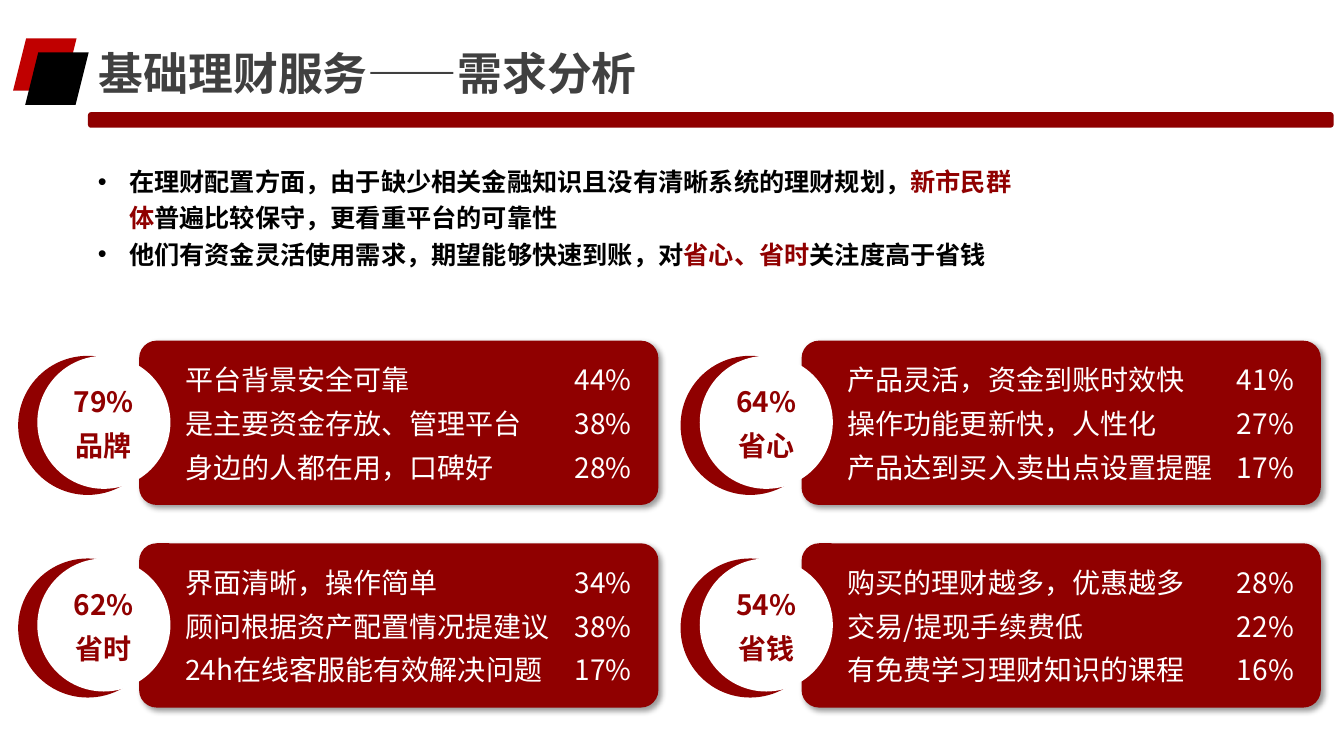
from dataclasses import dataclass
from typing import Any

from lxml.etree import SubElement
from pptx import Presentation
from pptx.dml.color import RGBColor
from pptx.enum.shapes import MSO_SHAPE
from pptx.enum.text import MSO_ANCHOR, MSO_AUTO_SIZE, PP_ALIGN
from pptx.oxml.ns import qn
from pptx.util import Emu, Pt

PX = 9144


@dataclass(frozen=True)
class Theme:
    red: str = "900000"
    bar_line: str = "8E0000"
    accent: str = "C00000"
    black: str = "000000"
    grey: str = "404040"
    white: str = "FFFFFF"
    latin: str = "Arial"
    cjk: str = "Noto Sans CJK SC"
    title: int = 32
    body: int = 18
    card: int = 20


@dataclass(frozen=True)
class Box:
    x: int
    y: int
    w: int
    h: int

    def shifted(self, dx: int, dy: int) -> "Box":
        return Box(self.x + dx, self.y + dy, self.w, self.h)

    def emu(self) -> list[Emu]:
        return [Emu(v * PX) for v in (self.x, self.y, self.w, self.h)]


@dataclass(frozen=True)
class Style:
    size: int
    color: str
    bold: bool = False
    font: str = Theme.cjk


@dataclass(frozen=True)
class Need:
    share: str
    name: str
    reasons: dict[str, str]


T = Theme()
TITLE = Style(T.title, T.grey, True, T.latin)
BODY = Style(T.body, T.black, True)
KEYWORD = Style(T.body, T.red, True)
REASON = Style(T.card, T.white)
BADGE = Style(T.card, T.red, True)

FRAME = {
    "word_wrap": True,
    "auto_size": MSO_AUTO_SIZE.SHAPE_TO_FIT_TEXT,
    "vertical_anchor": MSO_ANCHOR.TOP,
}
CARD_PARA = {"line_spacing": 1.3, "alignment": PP_ALIGN.LEFT}
BADGE_PARA = {"line_spacing": 1.3, "alignment": PP_ALIGN.CENTER}
BODY_PARA = {"line_spacing": 1.2, "alignment": PP_ALIGN.LEFT, "space_before": Pt(0)}

COLUMNS = 2
COLUMN_STEP = 657
ROW_STEP = 201

BULLETS = [
    [
        ("在理财配置方面，由于缺少相关金融知识且没有清晰系统的理财规划，", BODY),
        ("新市民群体", KEYWORD),
        ("普遍比较保守，更看重平台的可靠性", BODY),
    ],
    [
        ("他们有资金灵活使用需求，期望能够快速到账，对", BODY),
        ("省心、省时", KEYWORD),
        ("关注度高于省钱", BODY),
    ],
]

NEEDS = [
    Need("79%", "品牌", {
        "平台背景安全可靠": "44%",
        "是主要资金存放、管理平台": "38%",
        "身边的人都在用，口碑好": "28%",
    }),
    Need("64%", "省心", {
        "产品灵活，资金到账时效快": "41%",
        "操作功能更新快，人性化": "27%",
        "产品达到买入卖出点设置提醒": "17%",
    }),
    Need("62%", "省时", {
        "界面清晰，操作简单": "34%",
        "顾问根据资产配置情况提建议": "38%",
        "24h在线客服能有效解决问题": "17%",
    }),
    Need("54%", "省钱", {
        "购买的理财越多，优惠越多": "28%",
        "交易/提现手续费低": "22%",
        "有免费学习理财知识的课程": "16%",
    }),
]


def apply(obj: Any, values: dict[str, Any]) -> None:
    for name, value in values.items():
        setattr(obj, name, value)


def place(sp: Any, box: Box) -> None:
    apply(sp, dict(zip(("left", "top", "width", "height"), box.emu())))


def add_run(p: Any, text: str, style: Style) -> None:
    r = p.add_run()
    r.text = text
    apply(r.font, {"size": Pt(style.size), "bold": style.bold, "name": style.font})
    r.font.color.rgb = RGBColor.from_string(style.color)
    SubElement(r.font._element, qn("a:ea"), typeface=T.cjk)


def write(tf: Any, paragraphs: list[list[tuple[str, Style]]], values: dict[str, Any],
          hang: int = 0) -> None:
    apply(tf, FRAME)
    for i, runs in enumerate(paragraphs):
        p = tf.add_paragraph() if i else tf.paragraphs[0]
        if hang:
            apply_hang = {"marL": str(hang * PX), "indent": str(-hang * PX)}
            p._p.get_or_add_pPr().attrib.update(apply_hang)
        apply(p, values)
        for text, style in runs:
            add_run(p, text, style)


def add_text(shapes: Any, box: Box, lines: list[str], style: Style,
             values: dict[str, Any]) -> None:
    sp = shapes.add_textbox(*box.emu())
    write(sp.text_frame, [[(line, style)] for line in lines], values)


def add_filled(shapes: Any, kind: MSO_SHAPE, box: Box, color: str) -> Any:
    sp = shapes.add_shape(kind, *box.emu())
    sp.shadow.inherit = False
    sp.fill.solid()
    sp.fill.fore_color.rgb = RGBColor.from_string(color)
    sp.line.fill.background()
    return sp


def cast_shadow(sp: Any) -> None:
    effects = sp._element.spPr.find(qn("a:effectLst"))
    shadow = SubElement(effects, qn("a:outerShdw"), blurRad=str(Pt(4)), dist=str(Pt(3)),
                        dir="2700000", algn="tl", rotWithShape="0")
    color = SubElement(shadow, qn("a:srgbClr"), val=T.black)
    SubElement(color, qn("a:alpha"), val="40000")


def add_need(s: Any, need: Need, dx: int, dy: int) -> None:
    shapes = s.shapes.add_group_shape().shapes
    card = add_filled(shapes, MSO_SHAPE.ROUNDED_RECTANGLE,
                      Box(138, 338, 515, 163).shifted(dx, dy), T.red)
    card.adjustments[0] = 0.107
    cast_shadow(card)
    columns = [
        (Box(174, 345, 451, 141), list(need.reasons)),
        (Box(560, 345, 78, 141), list(need.reasons.values())),
    ]
    for box, lines in columns:
        add_text(shapes, box.shifted(dx, dy), lines, REASON, CARD_PARA)
    for box, color in ((Box(18, 353, 138, 138), T.red), (Box(37, 353, 132, 132), T.white)):
        add_filled(shapes, MSO_SHAPE.OVAL, box.shifted(dx, dy), color)
    add_text(shapes, Box(53, 367, 100, 97).shifted(dx, dy), [need.share, need.name],
             BADGE, BADGE_PARA)


def add_header(s: Any) -> None:
    for box, color in ((Box(13, 38, 63, 52), T.accent), (Box(25, 52, 63, 52), T.black)):
        add_filled(s.shapes, MSO_SHAPE.PARALLELOGRAM, box, color)
    bar = add_filled(s.shapes, MSO_SHAPE.ROUNDED_RECTANGLE, Box(88, 112, 1234, 14), T.red)
    bar.line.color.rgb = RGBColor.from_string(T.bar_line)
    bar.line.width = Pt(1)
    title, body = s.placeholders
    place(title, Box(88, 40, 597, 64))
    write(title.text_frame, [[("基础理财服务——需求分析", TITLE)]], {"alignment": PP_ALIGN.LEFT})
    place(body, Box(87, 154, 941, 116))
    write(body.text_frame, BULLETS, BODY_PARA, hang=31)


def main() -> None:
    prs = Presentation()
    apply(prs, {"slide_width": Emu(1333 * PX), "slide_height": Emu(750 * PX)})
    s = prs.slides.add_slide(prs.slide_layouts[1])
    add_header(s)
    for i, need in enumerate(NEEDS):
        row, column = divmod(i, COLUMNS)
        add_need(s, need, column * COLUMN_STEP, row * ROW_STEP)
    prs.save("out.pptx")


if __name__ == "__main__":
    main()
